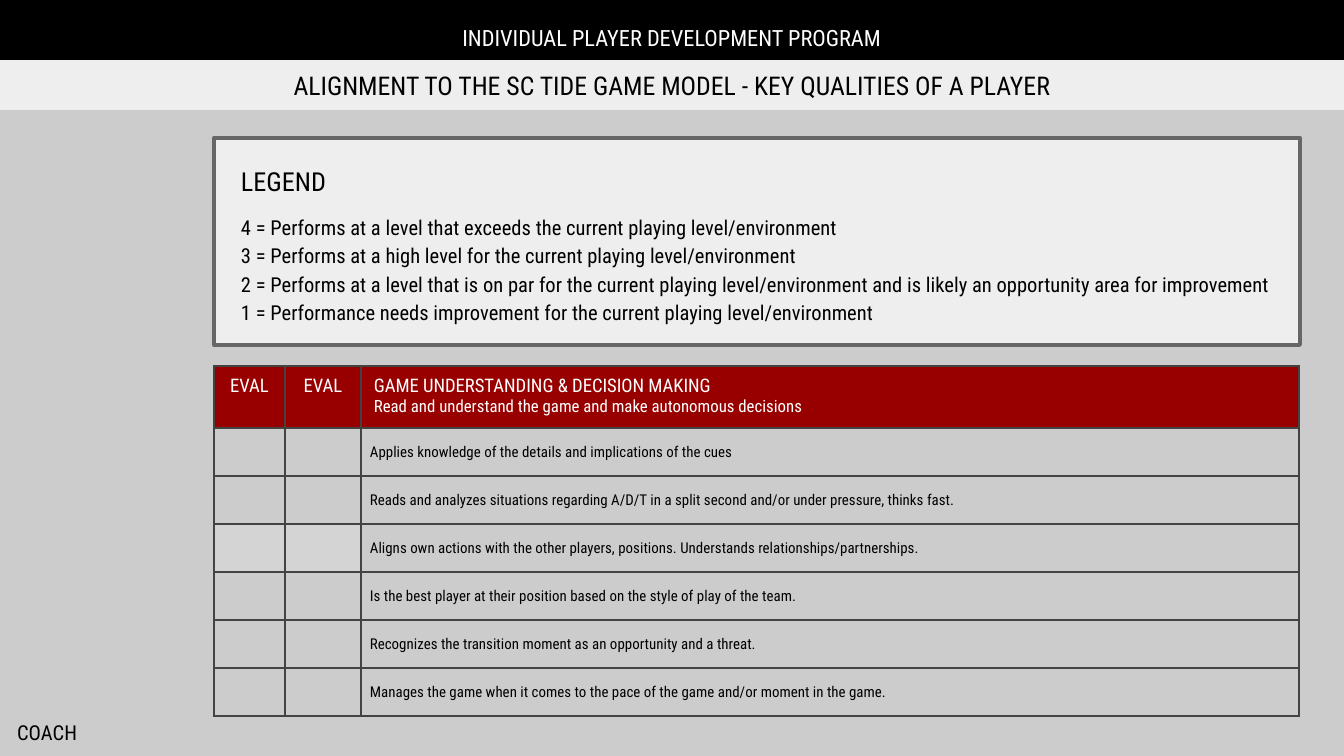
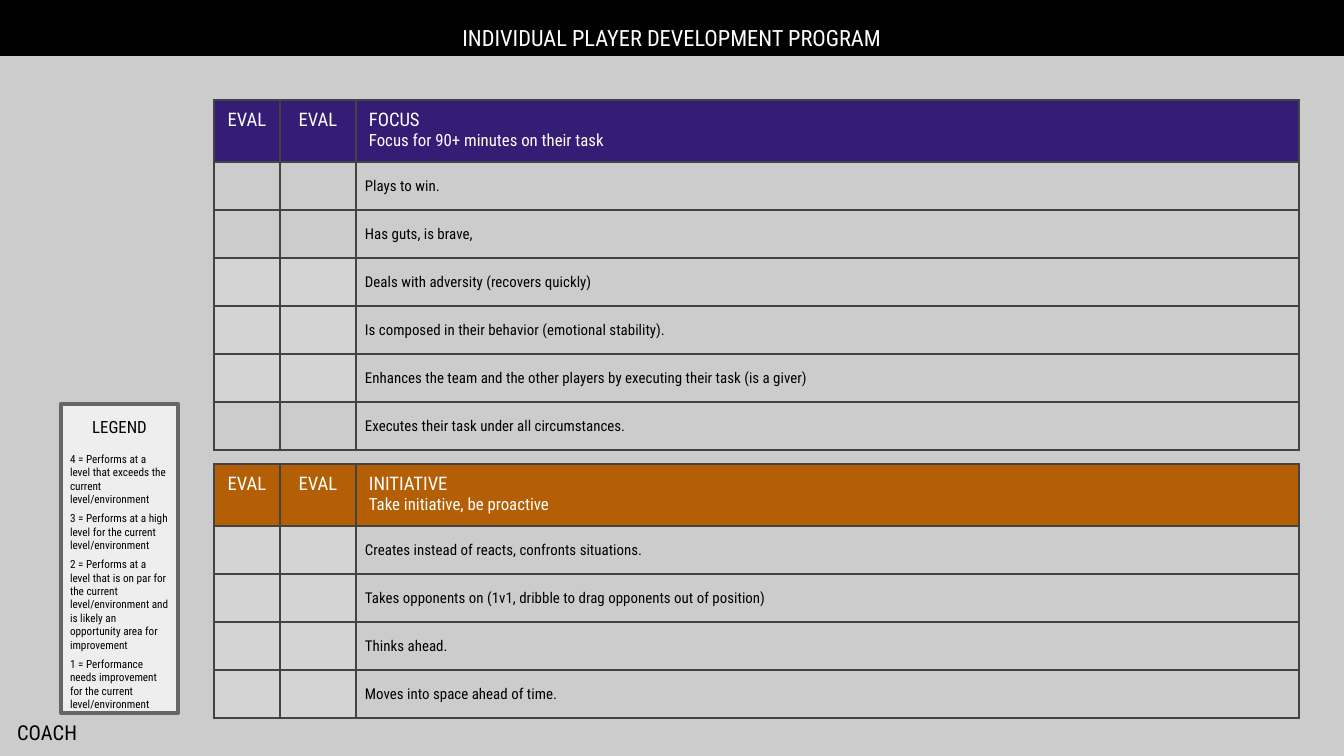
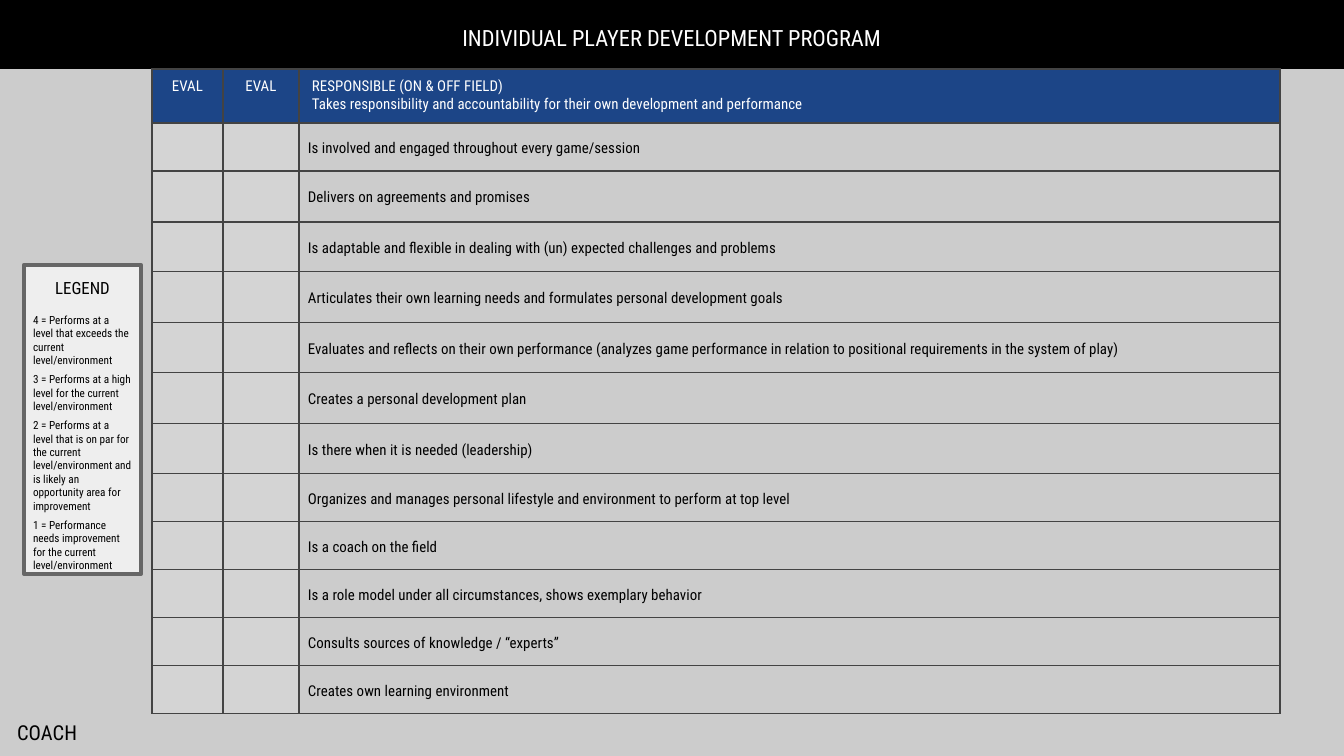
from pptx import Presentation
from pptx.dml.color import RGBColor as Rgb
from pptx.enum.shapes import MSO_SHAPE as Shape
from pptx.enum.text import MSO_ANCHOR as Anchor, PP_ALIGN as Align
from pptx.oxml import parse_xml
from pptx.oxml.ns import nsdecls
from pptx.util import Pt

PX = 9144000 / 1344
FONT = "Roboto Condensed"

BLACK = Rgb(0x00, 0x00, 0x00)
WHITE = Rgb(0xFF, 0xFF, 0xFF)
BACK = Rgb(0xCC, 0xCC, 0xCC)
SHADE = Rgb(0xD4, 0xD4, 0xD4)
PALE = Rgb(0xEE, 0xEE, 0xEE)
EDGE = Rgb(0x66, 0x66, 0x66)
GRID = Rgb(0x43, 0x43, 0x43)
RED = Rgb(0x98, 0x00, 0x00)
PURPLE = Rgb(0x35, 0x1C, 0x75)
ORANGE = Rgb(0xB4, 0x5F, 0x06)
BLUE = Rgb(0x1C, 0x45, 0x87)

LARGE = [
    "4 = Performs at a level that exceeds the current playing level/environment",
    "3 = Performs at a high level for the current playing level/environment",
    "2 = Performs at a level that is on par for the current playing level/environment "
    "and is likely an opportunity area for improvement",
    "1 = Performance needs improvement for the current playing level/environment",
]
SMALL = [text.replace("playing ", "") for text in LARGE]

GAME = [
    "Applies knowledge of the details and implications of the cues",
    "Reads and analyzes situations regarding A/D/T in a split second and/or under pressure, thinks fast.",
    "Aligns own actions with the other players, positions. Understands relationships/partnerships.",
    "Is the best player at their position based on the style of play of the team.",
    "Recognizes the transition moment as an opportunity and a threat.",
    "Manages the game when it comes to the pace of the game and/or moment in the game.",
]
FOCUS = [
    "Plays to win.",
    "Has guts, is brave,",
    "Deals with adversity (recovers quickly)",
    "Is composed in their behavior (emotional stability).",
    "Enhances the team and the other players by executing their task (is a giver)",
    "Executes their task under all circumstances.",
]
START = [
    "Creates instead of reacts, confronts situations.",
    "Takes opponents on (1v1, dribble to drag opponents out of position)",
    "Thinks ahead.",
    "Moves into space ahead of time.",
]
DUTY = [
    "Is involved and engaged throughout every game/session",
    "Delivers on agreements and promises",
    "Is adaptable and flexible in dealing with (un) expected challenges and problems",
    "Articulates their own learning needs and formulates personal development goals",
    "Evaluates and reflects on their own performance (analyzes game performance "
    "in relation to positional requirements in the system of play)",
    "Creates a personal development plan",
    "Is there when it is needed (leadership)",
    "Organizes and manages personal lifestyle and environment to perform at top level",
    "Is a coach on the field",
    "Is a role model under all circumstances, shows exemplary behavior",
    "Consults sources of knowledge / “experts”",
    "Creates own learning environment",
]

# Tables: left, top, columns, rows, colour, head sizes, line spacing, head, items, shaded rows
game = (214, 366, [71, 76, 938], [62] + [48] * 6, RED, (10, 9), 1,
        ["GAME UNDERSTANDING & DECISION MAKING",
         "Read and understand the game and make autonomous decisions"], GAME, [3])
focus = (214, 100, [66, 76, 943], [62] + [48] * 6, PURPLE, (10, 9), 1,
         ["FOCUS", "Focus for 90+ minutes on their task"], FOCUS, [3, 4, 5])
start = (214, 464, [66, 76, 943], [62] + [48] * 4, ORANGE, (10, 9), 1,
         ["INITIATIVE", "Take initiative, be proactive"], START, range(1, 5))
duty = (152, 69, [71, 76, 981], [54, 48] + [51, 50] * 3 + [48] * 5, BLUE, (8, 8), 1.15,
        ["RESPONSIBLE (ON & OFF FIELD)",
         "Takes responsibility and accountability for their own development and performance"],
        DUTY, range(1, 13))

# Slides: band height, tables, legend place, legend inset, subtitle
PAGES = [
    (109, [game], (214, 138, 1086, 207), (27, 27), "ALIGNMENT TO THE SC TIDE GAME MODEL - KEY QUALITIES OF A PLAYER"),
    (56, [focus, start], (61, 404, 117, 309), (9, 13), None),
    (69, [duty], (24, 265, 117, 309), (9, 13), None),
]


def box(slide, place, fill=None, inset=(13, 13), anchor=Anchor.TOP):
    spot = [round(n * PX) for n in place]
    if fill is None:
        shape = slide.shapes.add_textbox(*spot)
    else:
        shape = slide.shapes.add_shape(Shape.RECTANGLE, *spot)
        shape.shadow.inherit = False
        shape.fill.solid()
        shape.fill.fore_color.rgb = fill
        shape.line.fill.background()
    frame = shape.text_frame
    frame.word_wrap = True
    frame.vertical_anchor = anchor
    frame.margin_left = frame.margin_right = round(inset[0] * PX)
    frame.margin_top = frame.margin_bottom = round(inset[1] * PX)
    return shape


def write(frame, text, size, color=BLACK, align=Align.LEFT, lines=1, before=0):
    para = frame.paragraphs[0]
    if para.text:
        para = frame.add_paragraph()
    para.text = text
    para.alignment = align
    para.line_spacing = lines
    para.space_before = Pt(before)
    para.font.name = FONT
    para.font.size = Pt(size)
    para.font.color.rgb = color
    return para


deck = Presentation()
deck.slide_width = round(1344 * PX)
deck.slide_height = round(756 * PX)

for band, tables, place, inset, subtitle in PAGES:
    slide = deck.slides.add_slide(deck.slide_layouts[6])
    slide.background.fill.solid()
    slide.background.fill.fore_color.rgb = BACK

    # Title band
    box(slide, (0, 0, 1344, band), BLACK)
    title = box(slide, (0, 0, 1344, 56), anchor=Anchor.BOTTOM)
    write(title.text_frame, "INDIVIDUAL PLAYER DEVELOPMENT PROGRAM", 12, WHITE, Align.CENTER, 0.5)

    # Evaluation tables
    for left, top, cols, rows, color, sizes, lines, head, items, shaded in tables:
        spot = [round(n * PX) for n in (left, top, sum(cols), sum(rows))]
        table = slide.shapes.add_table(len(rows), len(cols), *spot).table
        table.horz_banding = table.first_row = False
        for col, width in zip(table.columns, cols):
            col.width = round(width * PX)
        for r, height in enumerate(rows):
            table.rows[r].height = round(height * PX)
            for c in range(len(cols)):
                cell = table.cell(r, c)
                props = cell._tc.get_or_add_tcPr()
                for side in ("lnL", "lnR", "lnT", "lnB"):
                    props.append(parse_xml(
                        f'<a:{side} {nsdecls("a")} w="{Pt(0.75)}"><a:solidFill>'
                        f'<a:srgbClr val="{GRID}"/></a:solidFill></a:{side}>'))
                pad = 13 if r == 0 else 9 if c == 2 else 0
                cell.margin_left = cell.margin_right = round(pad * PX)
                cell.margin_top = cell.margin_bottom = round(min(pad, 9) * PX)
                cell.vertical_anchor = Anchor.TOP if r == 0 else Anchor.MIDDLE
                if r == 0 or (c < 2 and r in shaded):
                    cell.fill.solid()
                    cell.fill.fore_color.rgb = SHADE if r else color
                else:
                    cell.fill.background()
                if r and c == 2:
                    write(cell.text_frame, items[r - 1], 8, lines=lines)
                elif r == 0 and c == 2:
                    for text, size in zip(head, sizes):
                        write(cell.text_frame, text, size, WHITE)
                elif r == 0:
                    write(cell.text_frame, "EVAL", sizes[0], WHITE, Align.CENTER)

    # Legend
    legend = box(slide, place, PALE, inset)
    legend.line.color.rgb = EDGE
    legend.line.width = Pt(2.25)
    frame = legend.text_frame
    if subtitle:
        write(frame, "LEGEND", 14)
    else:
        write(frame, "LEGEND", 9, align=Align.CENTER)
    for i, text in enumerate(LARGE if subtitle else SMALL):
        if subtitle:
            write(frame, text, 11, lines=1.15, before=0 if i else 8)
        else:
            write(frame, text, 6, before=3 if i else 8)

    # Subtitle band
    if subtitle:
        strip = box(slide, (0, 60, 1344, 50), PALE, anchor=Anchor.MIDDLE)
        write(strip.text_frame, subtitle, 13.8, align=Align.CENTER)

    # Footer
    foot = box(slide, (4, 710, 1336, 50))
    write(foot.text_frame, "COACH", 11, lines=0.95).space_after = Pt(12)

deck.save("out.pptx")
